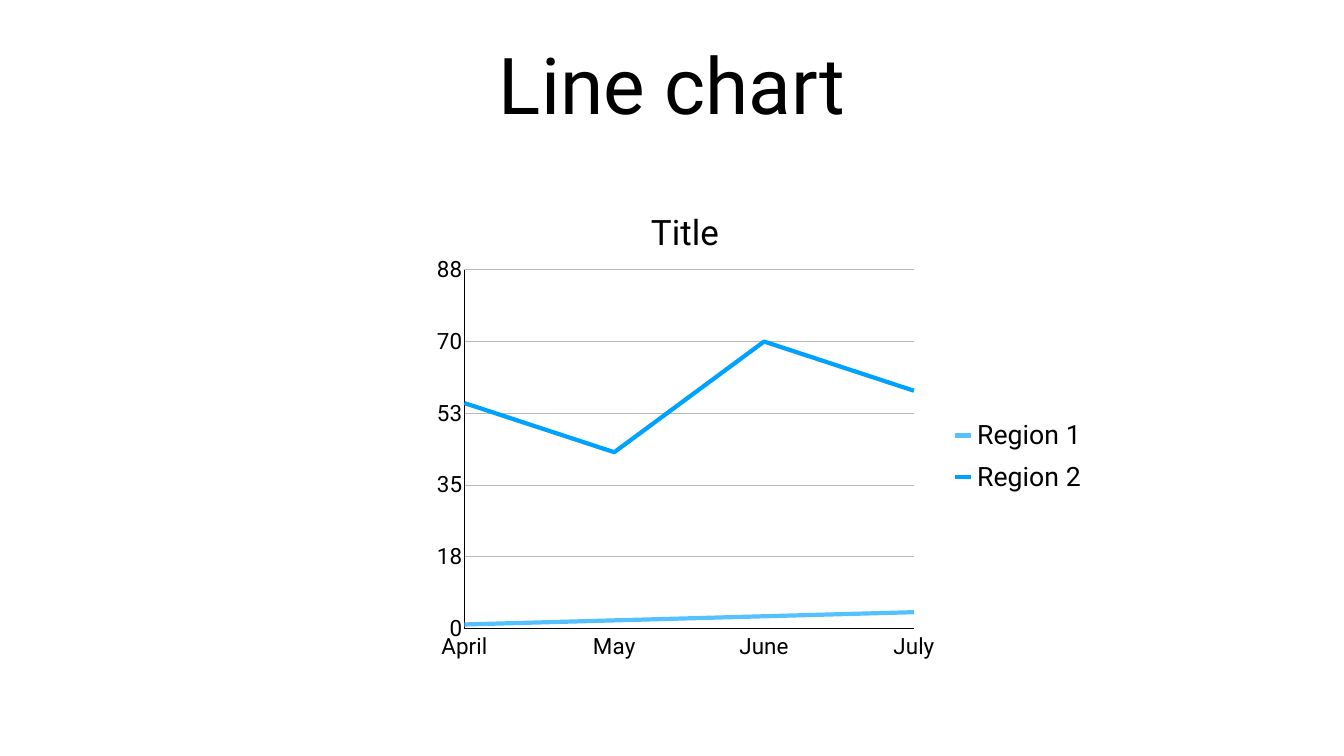
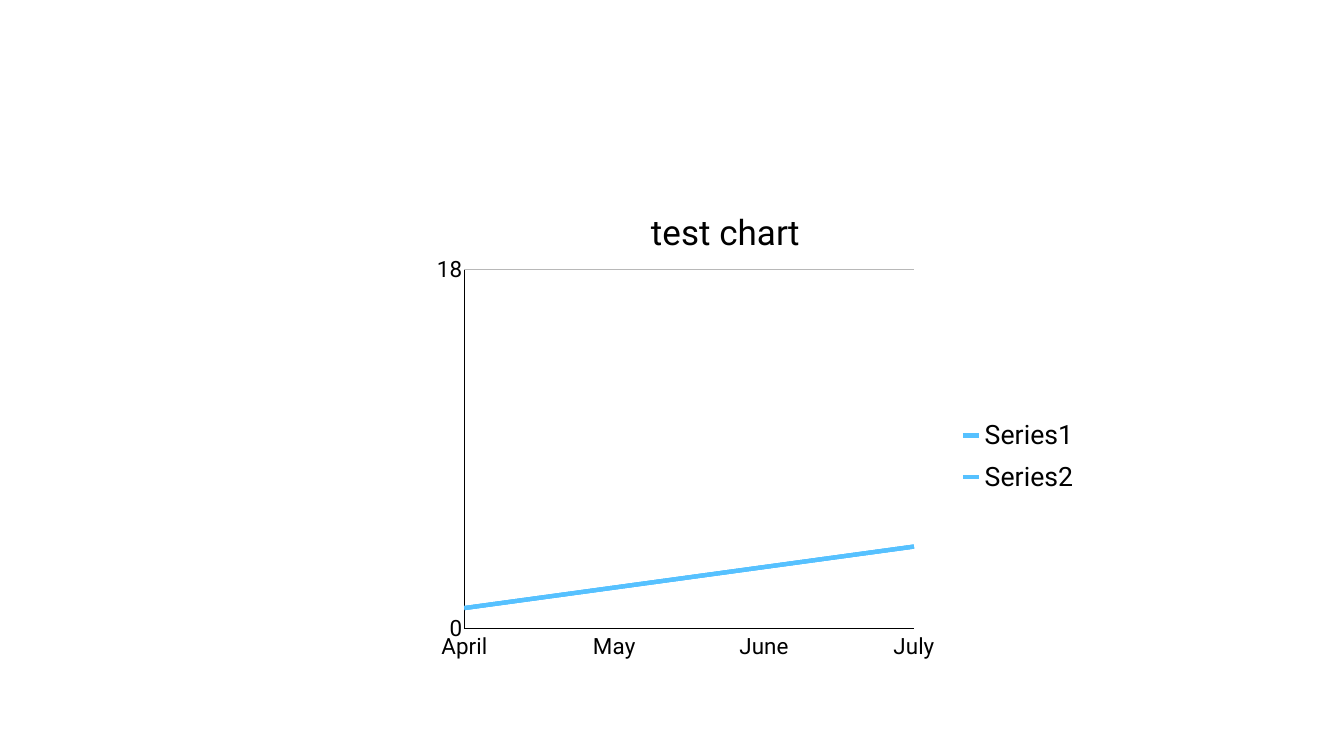
from lxml.etree import SubElement
from pptx import Presentation
from pptx.chart.data import CategoryChartData
from pptx.dml.color import RGBColor
from pptx.enum.chart import (XL_CHART_TYPE, XL_LEGEND_POSITION, XL_TICK_LABEL_POSITION,
                             XL_TICK_MARK)
from pptx.enum.text import MSO_ANCHOR, PP_ALIGN
from pptx.oxml.ns import qn
from pptx.util import Pt

FONT = "Roboto"
COLORS = {"bg": "FFFFFF", "text": "000000", "grid": "B8B8B8",
          "light": "56C1FF", "blue": "00A2FF"}
TITLE_BOX = (133.2, 28.08, 1653.84, 180)
CHART_BOX = (602.64, 289.44, 979.2, 671.04)
MONTHS = ["April", "May", "June", "July"]
STEP = 17.5  # value axis interval


def rgb(name):
    return RGBColor.from_string(COLORS[name])


def style_font(font, size):
    font.name, font.size, font.bold = FONT, Pt(size), False
    font.color.rgb = rgb("text")


def style_line(line, color, width):
    line.color.rgb = rgb(color)
    line.width = Pt(width)


def write(tf, text, size, align=PP_ALIGN.CENTER):
    p = tf.paragraphs[0]
    p.alignment = align
    r = p.add_run()
    r.text = text
    style_font(r.font, size)


def set_layout(parent, inner=False, **fractions):
    """Give a chart part a manual place, in fractions of the chart."""
    for old in parent.findall(qn("c:layout")):
        parent.remove(old)
    layout = SubElement(parent, qn("c:layout"))
    manual = SubElement(layout, qn("c:manualLayout"))
    if inner:
        SubElement(manual, qn("c:layoutTarget")).set("val", "inner")
    for mode in ("xMode", "yMode"):
        SubElement(manual, qn(f"c:{mode}")).set("val", "edge")
    for key, value in fractions.items():
        SubElement(manual, qn(f"c:{key}")).set("val", str(value))
    overlay = parent.find(qn("c:overlay"))
    if overlay is None:
        parent.insert(0, layout)
    else:
        overlay.addprevious(layout)


def add_title(s, box, text):
    tf = s.shapes.add_textbox(*map(Pt, box)).text_frame
    tf.word_wrap = True
    tf.vertical_anchor = MSO_ANCHOR.MIDDLE
    tf.margin_left = tf.margin_right = tf.margin_top = tf.margin_bottom = Pt(4)
    write(tf, text, 112)


def style_axes(chart, top):
    cat, val = chart.category_axis, chart.value_axis
    for axis in (cat, val):
        axis.major_tick_mark = axis.minor_tick_mark = XL_TICK_MARK.NONE
        style_font(axis.tick_labels.font, 32)
        style_line(axis.format.line, "text", 1)
    cat.tick_label_position = XL_TICK_LABEL_POSITION.LOW
    val.tick_labels.number_format = "0"
    val.tick_labels.number_format_is_linked = False
    val.minimum_scale, val.maximum_scale, val.major_unit = 0, top, STEP
    val.has_major_gridlines = True
    style_line(val.major_gridlines.format.line, "grid", 1)
    # Lines start on the value axis
    between = SubElement(val._element, qn("c:crossBetween"))
    between.set("val", "midCat")
    val._element.find(qn("c:majorUnit")).addprevious(between)


def style_legend(chart, shown):
    chart.has_legend = True
    legend = chart.legend
    legend.position = XL_LEGEND_POSITION.RIGHT
    legend.include_in_layout = True
    style_font(legend.font, 38)
    set_layout(legend._element, x=0.74, y=0.44, w=0.26, h=0.2)
    # Leave out entries beyond those shown
    for i in range(shown, len(chart.plots[0].series)):
        entry = SubElement(legend._element, qn("c:legendEntry"))
        SubElement(entry, qn("c:idx")).set("val", str(i))
        SubElement(entry, qn("c:delete")).set("val", "1")
        legend._element.find(qn("c:layout")).addprevious(entry)


def add_line_chart(s, box, title, series, top, shown=2):
    data = CategoryChartData()
    data.categories = MONTHS
    for name, values, _ in series:
        data.add_series(name, values)
    chart = s.shapes.add_chart(XL_CHART_TYPE.LINE, *map(Pt, box), data).chart
    style_font(chart.font, 10)

    # Title
    chart.has_title = True
    write(chart.chart_title.text_frame, title, 50)
    heading = chart.chart_title._element
    set_layout(heading, x=0.325, y=0)
    heading.find(qn("c:overlay")).set("val", "1")

    # Plot
    set_layout(chart._chartSpace.chart.plotArea, inner=True,
               x=0.062, y=0.143, w=0.656, h=0.764)
    chart.plots[0].vary_by_categories = False
    for ser, (_, _, color) in zip(chart.plots[0].series, series):
        ser.smooth = False
        style_line(ser.format.line, color, 6)

    style_axes(chart, top)
    style_legend(chart, shown)


def new_slide(prs):
    s = prs.slides.add_slide(prs.slide_layouts[6])
    s.background.fill.solid()
    s.background.fill.fore_color.rgb = rgb("bg")
    return s


def main():
    prs = Presentation()
    prs.slide_width, prs.slide_height = Pt(1920), Pt(1080)
    rising = [1, 2, 3, 4]

    # Slide 1: two regions
    s = new_slide(prs)
    add_title(s, TITLE_BOX, "Line chart")
    regions = [("Region 1", rising, "light"),
               ("Region 2", [55, 43, 70, 58], "blue")]
    add_line_chart(s, CHART_BOX, "Title", regions, 5 * STEP)

    # Slide 2: coinciding series
    s = new_slide(prs)
    tests = [(f"Series{i}", rising, "light") for i in range(1, 4)]
    add_line_chart(s, CHART_BOX, "test chart", tests, STEP)

    prs.save("out.pptx")


if __name__ == "__main__":
    main()
